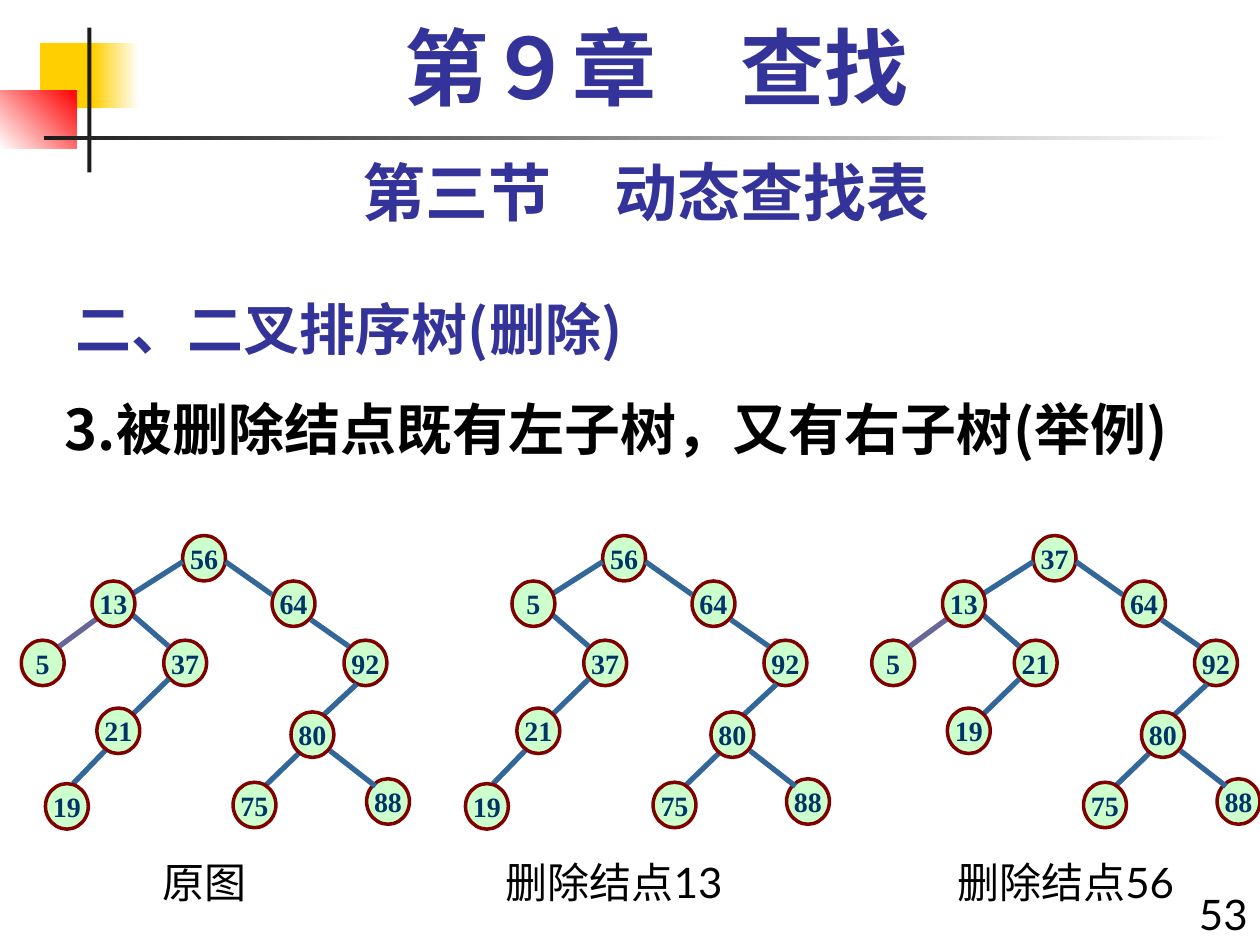
import pptx
import pptx.util
import pptx.dml.color
import pptx.enum.shapes
import pptx.enum.text
import pptx.oxml
import pptx.oxml.ns

Pt = pptx.util.Pt
RGB = pptx.dml.color.RGBColor
SHAPE = pptx.enum.shapes.MSO_SHAPE
ALIGN = pptx.enum.text.PP_ALIGN
ANCHOR = pptx.enum.text.MSO_ANCHOR

BLACK = RGB(0, 0, 0)
WHITE = RGB(255, 255, 255)
CHARCOAL = RGB(0x1C, 0x1C, 0x1C)
YELLOW = RGB(0xFF, 0xCF, 0x01)
RED = RGB(255, 0, 0)
INDIGO = RGB(0x33, 0x33, 0x99)
NODE_FILL = RGB(0xCC, 0xFF, 0xCC)
NODE_LINE = RGB(0x80, 0, 0)
NODE_TEXT = RGB(0, 0x33, 0x66)
EDGE = RGB(0x33, 0x66, 0x99)
EDGE_ALT = RGB(0x66, 0x66, 0x99)

SANS = "Noto Sans CJK SC"
LATO = "Lato"
SERIF = "Times New Roman"

NODE_W, NODE_H = 24.5, 26

# Left and top of each node, named by its path of turns from the root
NODES = {
    "root": (104.4, 306), "R": (155.5, 332), "LL": (12.2, 365.8),
    "RR": (196.6, 365.8), "LR": (93.6, 365.8), "RRLR": (209.5, 445),
    "LRLL": (26, 447.8), "RRL": (166.3, 406.8), "LRL": (55.4, 404.6),
    "L": (52.6, 332), "RRLL": (133.2, 447),
}
BEHIND_EDGES = ("root", "R", "LL", "RR", "LR", "RRLR")

# Ends of the edge that leads down to each node
EDGES = {
    "L": (104.4, 321, 74.9, 339.8), "LL": (55.4, 353.5, 33.8, 369.4),
    "R": (128.9, 321, 155.5, 339.8), "LR": (74.9, 350.6, 96.5, 369.4),
    "LRL": (96.5, 388, 69.8, 414), "RR": (177.8, 354.2, 199.4, 369.4),
    "RRL": (203.8, 391, 182.9, 410.4), "RRLR": (188.6, 429, 214.6, 449.3),
    "LRLL": (63.4, 425.5, 41.8, 447.8), "RRLL": (170.6, 430.6, 149.8, 450.7),
}

# Horizontal offset and keys of each tree
RIGHT_SIDE = {"R": "64", "RR": "92", "RRL": "80", "RRLL": "75", "RRLR": "88"}
TREES = [
    (0, {"root": "56", "L": "13", "LL": "5", "LR": "37", "LRL": "21", "LRLL": "19"}),
    (240, {"root": "56", "L": "5", "LR": "37", "LRL": "21", "LRLL": "19"}),
    (486, {"root": "37", "L": "13", "LL": "5", "LR": "21", "LRL": "19"}),
]


def write(tf, text, *, size, font, color, bold=False, align=ALIGN.LEFT,
          anchor=ANCHOR.TOP, wrap=True, line_spacing=None):
    tf.word_wrap = wrap
    tf.vertical_anchor = anchor
    p = tf.paragraphs[0]
    p.alignment = align
    if line_spacing:
        p.line_spacing = line_spacing
    r = p.add_run()
    r.text = text
    r.font.size = Pt(size)
    r.font.bold = bold
    r.font.color.rgb = color
    r.font.name = font
    ea = pptx.oxml.parse_xml(
        f'<a:ea {pptx.oxml.ns.nsdecls("a")} typeface="{SANS}"/>')
    r.font._element.find(pptx.oxml.ns.qn("a:latin")).addnext(ea)


def add_text(s, box, text, **fmt):
    sp = s.shapes.add_textbox(*map(Pt, box))
    write(sp.text_frame, text, **fmt)


def add_bar(s, box, color, end=None, angle=0):
    sp = s.shapes.add_shape(SHAPE.RECTANGLE, *map(Pt, box))
    sp.shadow.inherit = False
    sp.line.fill.background()
    if end is None:
        sp.fill.solid()
        sp.fill.fore_color.rgb = color
        return
    sp.fill.gradient()
    sp.fill.gradient_angle = angle
    for stop, rgb, pos in zip(sp.fill.gradient_stops, (color, end), (0, 1)):
        stop.color.rgb = rgb
        stop.position = pos


def add_node(grp, left, top, key):
    sp = grp.shapes.add_shape(SHAPE.OVAL, Pt(left), Pt(top), Pt(NODE_W), Pt(NODE_H))
    sp.shadow.inherit = False
    sp.fill.solid()
    sp.fill.fore_color.rgb = NODE_FILL
    sp.line.color.rgb = NODE_LINE
    sp.line.width = Pt(2)
    write(sp.text_frame, key, size=16, font=SERIF, color=NODE_TEXT, bold=True,
          align=ALIGN.CENTER, anchor=ANCHOR.MIDDLE, wrap=False)


def add_edge(grp, x1, y1, x2, y2, color):
    c = grp.shapes.add_connector(pptx.enum.shapes.MSO_CONNECTOR.STRAIGHT,
                                 Pt(x1), Pt(y1), Pt(x2), Pt(y2))
    c.line.color.rgb = color
    c.line.width = Pt(3)
    c._element.spPr.append(pptx.oxml.parse_xml(
        f'<a:effectLst {pptx.oxml.ns.nsdecls("a")}/>'))


def add_tree(s, dx, keys):
    grp = s.shapes.add_group_shape()

    def add_nodes(behind):
        for name, (left, top) in NODES.items():
            if name in keys and (name in BEHIND_EDGES) == behind:
                add_node(grp, left + dx, top, keys[name])

    add_nodes(True)
    for name, (x1, y1, x2, y2) in EDGES.items():
        if name in keys:
            add_edge(grp, x1 + dx, y1, x2 + dx, y2,
                     EDGE_ALT if name == "LL" else EDGE)
    add_nodes(False)


def main():
    prs = pptx.Presentation()
    prs.slide_width, prs.slide_height = Pt(720), Pt(540)
    s = prs.slides.add_slide(prs.slide_layouts[6])

    # Corner decoration
    add_bar(s, (23, 24.5, 34.6, 37.4), YELLOW)
    add_bar(s, (53.3, 24.5, 26, 37.4), YELLOW, WHITE)
    add_bar(s, (0, 51.8, 44, 33.1), WHITE, RED, angle=45)
    add_bar(s, (49.9, 15.8, 2.4, 82.8), CHARCOAL)
    add_bar(s, (25.2, 77.8, 680.4, 2.4), CHARCOAL, WHITE)

    # Headings
    add_text(s, (48, 12, 654, 60), "第９章　查找", size=48, font=SERIF,
             color=INDIGO, bold=True, align=ALIGN.CENTER, line_spacing=0.9)
    add_text(s, (36, 84, 666, 50), "第三节　动态查找表", size=36, font=LATO,
             color=INDIGO, bold=True, align=ALIGN.CENTER)
    add_text(s, (36, 156, 450, 54), "二、二叉排序树(删除)", size=32, font=SANS,
             color=INDIGO, bold=True, anchor=ANCHOR.BOTTOM)
    add_text(s, (30, 222, 690, 54), "3.被删除结点既有左子树，又有右子树(举例)",
             size=32, font=SANS, color=BLACK, bold=True)

    # Trees
    for dx, keys in TREES:
        add_tree(s, dx, {**keys, **RIGHT_SIDE})

    # Captions and page number
    for left, top, width, text, align in [
        (66, 486, 102, "原图", ALIGN.CENTER),
        (282, 486, 150, "删除结点13", ALIGN.LEFT),
        (540, 486, 144, "删除结点56", ALIGN.LEFT),
        (672, 504, 48, "53", ALIGN.RIGHT),
    ]:
        add_text(s, (left, top, width, 36), text, size=24, font=LATO,
                 color=BLACK, align=align)

    prs.save("out.pptx")


if __name__ == "__main__":
    main()
